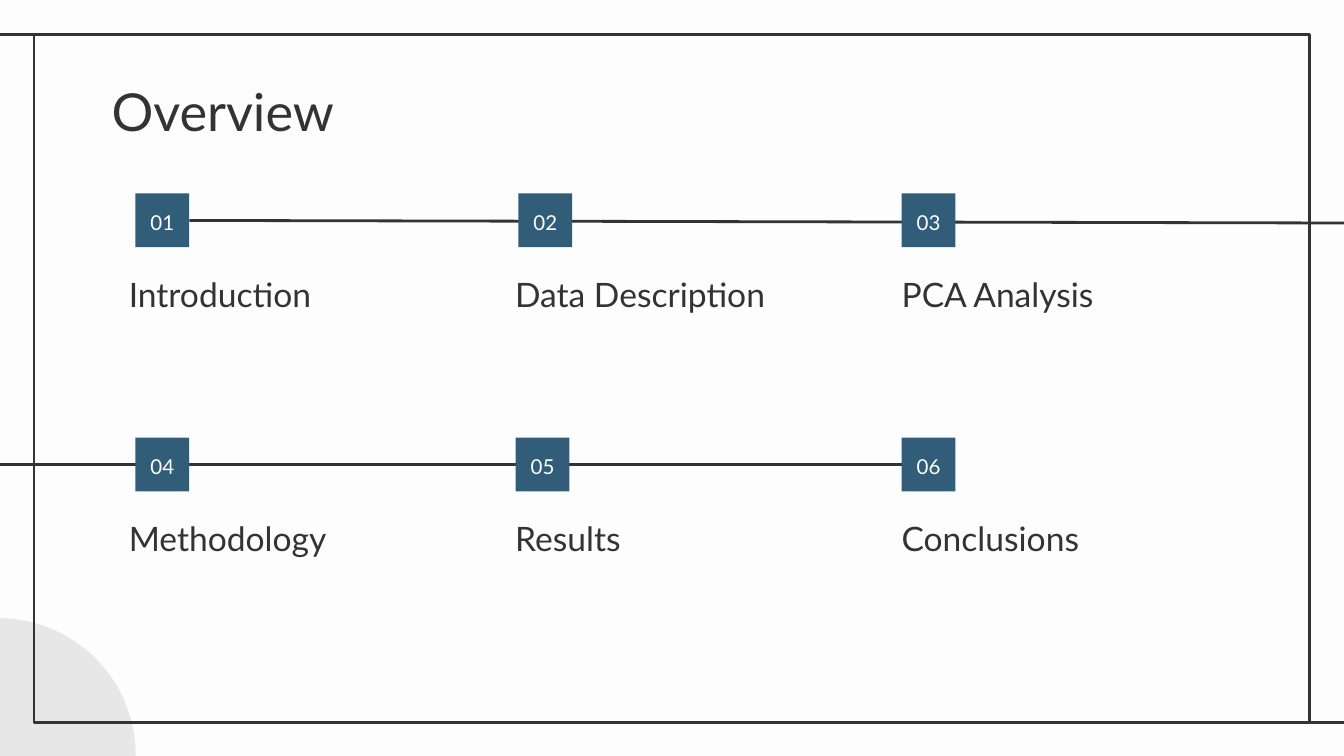
from dataclasses import dataclass

from lxml import etree
from pptx import Presentation
from pptx.dml.color import RGBColor
from pptx.enum import shapes, text
from pptx.oxml.ns import qn
from pptx.util import Pt

INK, PAPER, BLUE, GREY = "333333", "FDFDFD", "325D79", "E8E7E7"
BADGE = 28.8
ROW_TOPS = (103.7, 234.5)
LABEL_LEFT, LABEL_PITCH, LABEL_DROP = 61.9, 207, 41.5


@dataclass
class Topic:
    name: str
    row: int
    col: int
    badge_left: float


TOPICS = [
    Topic("Introduction", 0, 0, 72.6),
    Topic("Data Description", 0, 1, 277.8),
    Topic("PCA Analysis", 0, 2, 483.1),
    Topic("Methodology", 1, 0, 72.6),
    Topic("Results", 1, 1, 276.3),
    Topic("Conclusions", 1, 2, 483.1),
]


def rgb(color: str) -> RGBColor:
    return RGBColor.from_string(color)


def add_shape(s, kind, left: float, top: float, width: float, height: float,
              fill: str | None = None, line: str | None = None):
    sp = s.shapes.add_shape(kind, Pt(left), Pt(top), Pt(width), Pt(height))
    sp.shadow.inherit = False
    if fill:
        sp.fill.solid()
        sp.fill.fore_color.rgb = rgb(fill)
    else:
        sp.fill.background()
    if line:
        sp.line.color.rgb = rgb(line)
        sp.line.width = Pt(1.5)
    else:
        sp.line.fill.background()
    return sp


def add_line(s, x1: float, y1: float, x2: float, y2: float):
    cxn = s.shapes.add_connector(shapes.MSO_CONNECTOR.STRAIGHT,
                                 Pt(x1), Pt(y1), Pt(x2), Pt(y2))
    cxn.line.color.rgb = rgb(INK)
    cxn.line.width = Pt(1.5)
    etree.SubElement(cxn._element.spPr, qn("a:effectLst"))
    return cxn


def write(sp, words: str, size: float, color: str, anchor,
          align=text.PP_ALIGN.LEFT, spacing: float = 1.15) -> None:
    tf = sp.text_frame
    tf.text = words
    tf.word_wrap = True
    tf.auto_size = text.MSO_AUTO_SIZE.NONE
    tf.vertical_anchor = anchor
    tf.margin_left = tf.margin_right = tf.margin_top = tf.margin_bottom = Pt(7.2)
    p = tf.paragraphs[0]
    p.alignment = align
    p.line_spacing = spacing
    font = p.runs[0].font
    font.name = "Lato"
    font.size = Pt(size)
    font.color.rgb = rgb(color)


def add_topic(s, number: int, topic: Topic):
    """Draw the numbered badge and its label; return the badge."""
    top = ROW_TOPS[topic.row]
    badge = add_shape(s, shapes.MSO_SHAPE.RECTANGLE, topic.badge_left, top,
                      BADGE, BADGE, fill=BLUE)
    write(badge, f"{number:02}", 11, PAPER, text.MSO_ANCHOR.MIDDLE,
          text.PP_ALIGN.CENTER)
    label = s.shapes.add_textbox(Pt(LABEL_LEFT + topic.col * LABEL_PITCH),
                                 Pt(top + LABEL_DROP), Pt(181.4), Pt(30.2))
    write(label, topic.name, 18, INK, text.MSO_ANCHOR.BOTTOM)
    return badge


def main() -> None:
    prs = Presentation()
    prs.slide_width, prs.slide_height = Pt(720), Pt(405)
    s = prs.slides.add_slide(prs.slide_layouts[5])
    s.background.fill.solid()
    s.background.fill.fore_color.rgb = rgb(PAPER)

    add_shape(s, shapes.MSO_SHAPE.OVAL, -74.2, 331.2, 146.9, 146.9, fill=GREY)
    add_shape(s, shapes.MSO_SHAPE.RECTANGLE, 18.2, 18.3, 683.3, 368.7, line=INK)
    add_line(s, 18.7, 18.3, -1.4, 18.3)
    add_line(s, 722.2, 387, 702, 387)

    title = s.shapes.title
    title.left, title.top, title.width, title.height = (
        Pt(52.6), Pt(35.3), Pt(607), Pt(45.4))
    write(title, "Overview", 28, INK, text.MSO_ANCHOR.TOP, spacing=1)

    # The timelines come first so that the badges cover them.
    upper = add_line(s, 101.4, 118.1, 725.8, 119.5)
    lower = add_line(s, 483.1, 248.9, -13, 248.9)
    badges = [add_topic(s, n, topic) for n, topic in enumerate(TOPICS, 1)]
    upper.begin_connect(badges[0], 3)
    lower.begin_connect(badges[-1], 1)

    prs.save("out.pptx")


if __name__ == "__main__":
    main()
